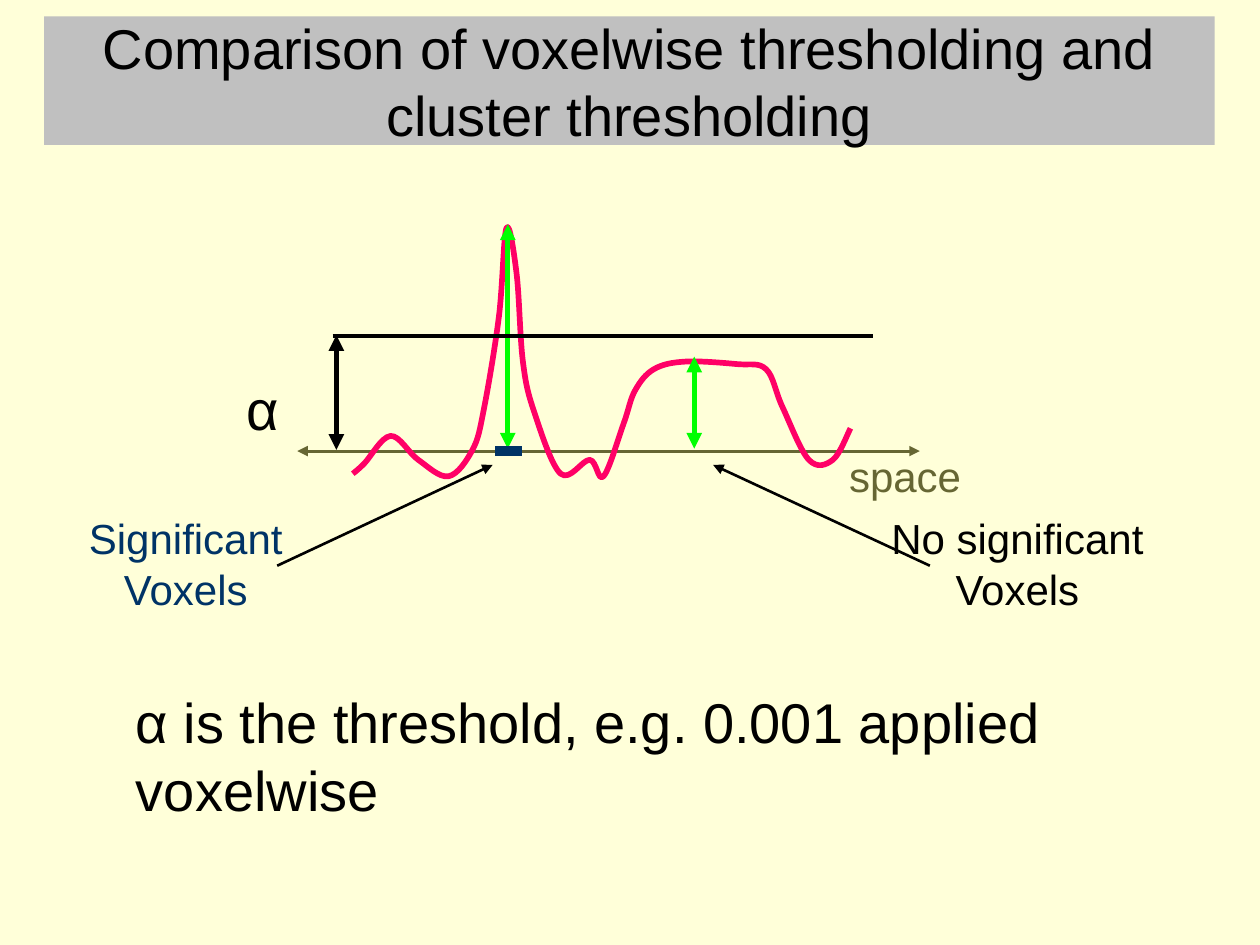
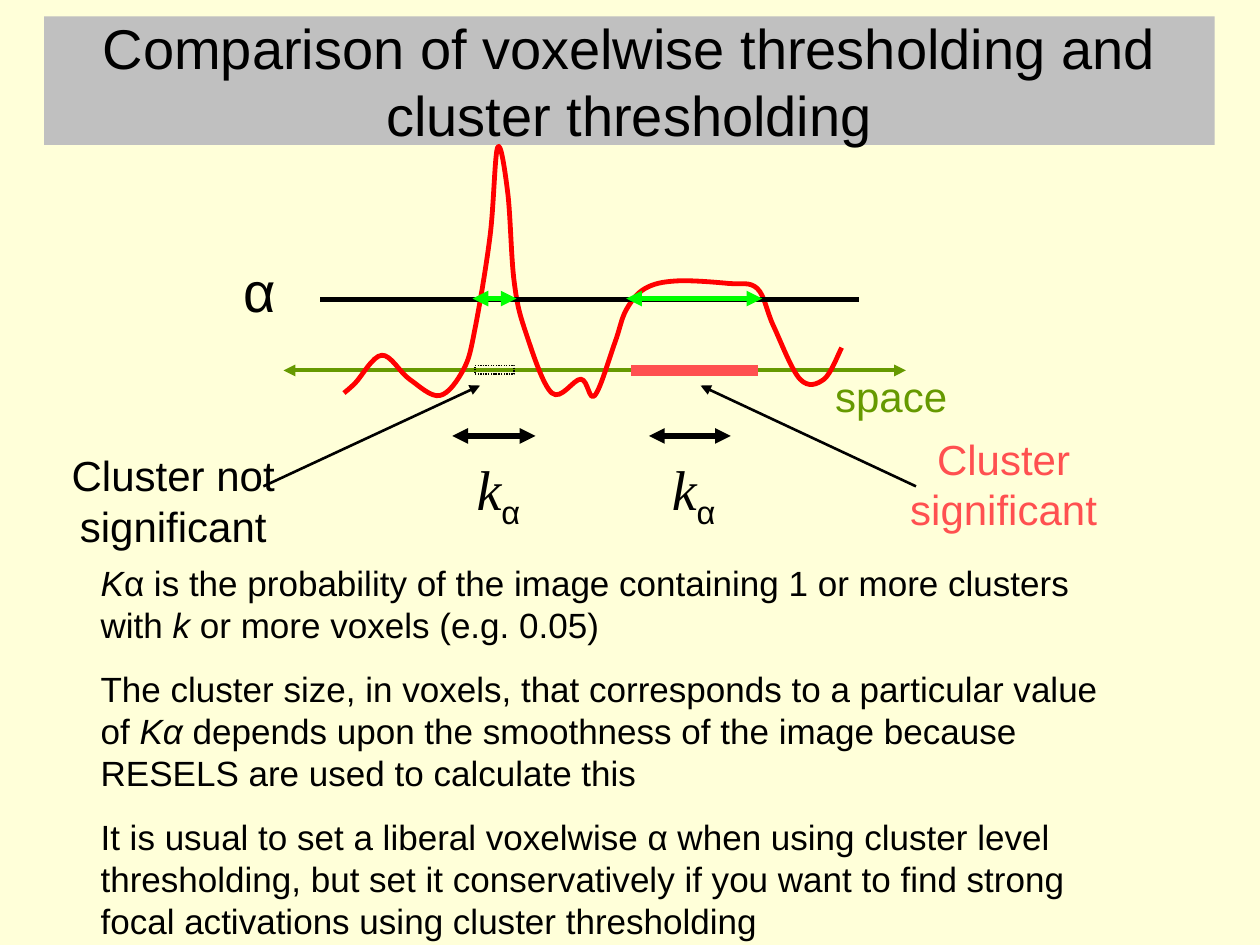
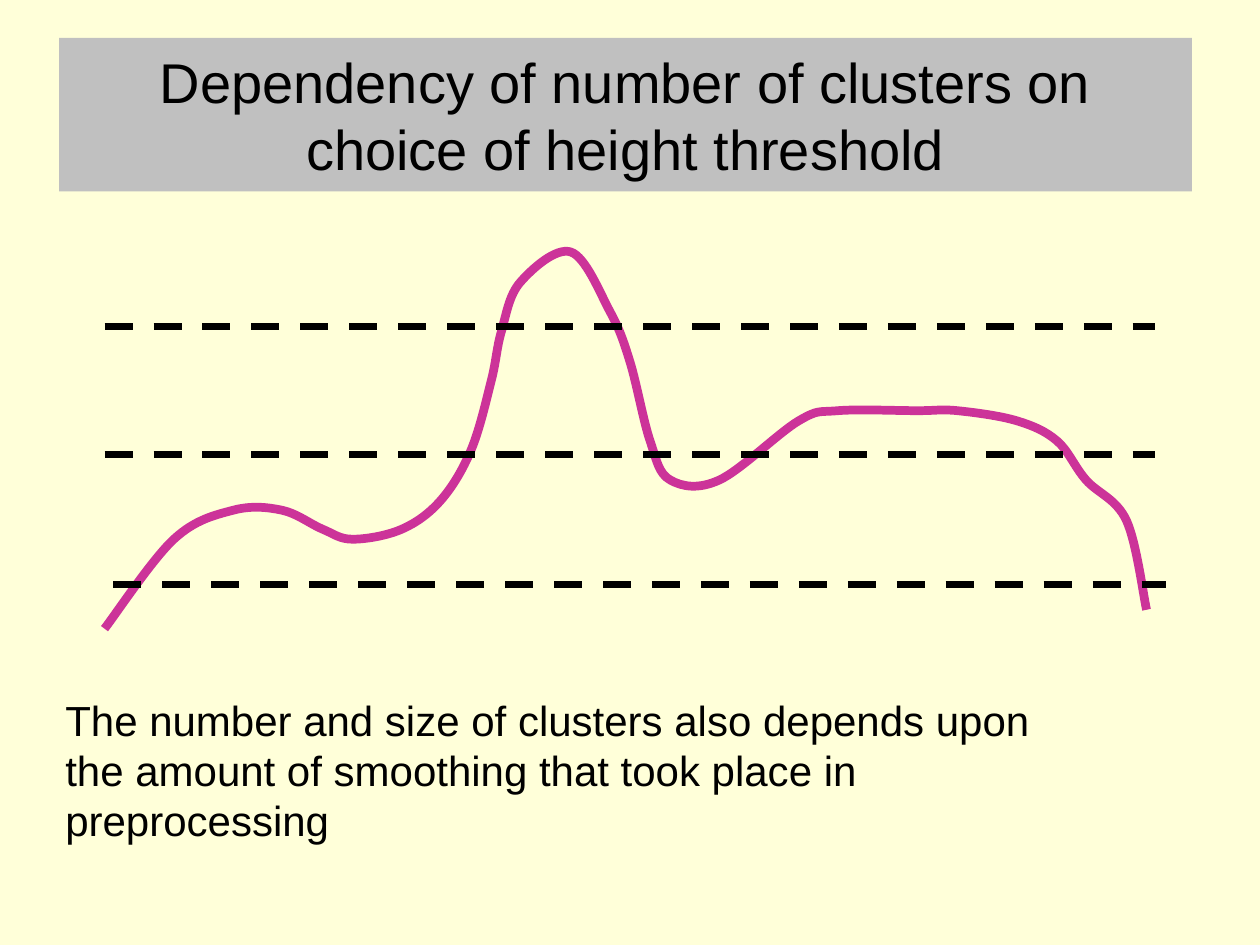
from pptx import Presentation
from pptx.dml.color import RGBColor
from pptx.enum.dml import MSO_LINE
from pptx.enum.shapes import MSO_CONNECTOR, MSO_SHAPE
from pptx.enum.text import MSO_ANCHOR, PP_ALIGN
from pptx.oxml.ns import qn
from pptx.util import Inches, Pt
from lxml.etree import SubElement

CREAM = RGBColor(0xFF, 0xFF, 0xD9)
SILVER = RGBColor(0xC0, 0xC0, 0xC0)
BLACK = RGBColor(0x00, 0x00, 0x00)
NAVY = RGBColor(0x00, 0x33, 0x66)
OLIVE = RGBColor(0x66, 0x66, 0x33)
GRASS = RGBColor(0x66, 0x99, 0x00)
LIME = RGBColor(0x00, 0xFF, 0x00)
PINK = RGBColor(0xFF, 0x00, 0x66)
RED = RGBColor(0xFF, 0x00, 0x00)
CORAL = RGBColor(0xFF, 0x50, 0x50)
PURPLE = RGBColor(0xCC, 0x33, 0x99)
FONT = "Arial"
LEFT, CENTER = PP_ALIGN.LEFT, PP_ALIGN.CENTER


def add_line(slide, start, end, colour, width, arrows=(), dash=None):
    """Draw a straight line; arrows names its ends: headEnd, tailEnd."""
    connector = slide.shapes.add_connector(
        MSO_CONNECTOR.STRAIGHT, *[Inches(value) for value in (*start, *end)])
    connector.line.color.rgb = colour
    connector.line.width = Pt(width)
    if dash:
        connector.line.dash_style = dash
    properties = connector.element.spPr
    for arrow in arrows:
        SubElement(properties.find(qn("a:ln")), qn(f"a:{arrow}"), type="triangle")
    SubElement(properties, qn("a:effectLst"))


def add_curve(slide, knots, colour, width):
    """Draw a smooth Catmull-Rom curve through the knots."""
    padded = [knots[0], *knots, knots[-1]]
    points = []
    for before, start, end, after in zip(padded, padded[1:], padded[2:], padded[3:]):
        points.append([s + (e - b) / 6 for b, s, e in zip(before, start, end)])
        points.append([e - (a - s) / 6 for s, e, a in zip(start, end, after)])
        points.append(end)
    builder = slide.shapes.build_freeform(Inches(knots[0][0]), Inches(knots[0][1]))
    builder.add_line_segments([(Inches(x), Inches(y)) for x, y in points], close=False)
    curve = builder.convert_to_shape()
    outline = next(curve.element.iter(qn("a:path")))
    segments = outline.findall(qn("a:lnTo"))
    for index in range(0, len(segments), 3):
        bezier = SubElement(outline, qn("a:cubicBezTo"))
        for segment in segments[index:index + 3]:
            bezier.append(segment[0])
            outline.remove(segment)
    curve.fill.background()
    curve.line.color.rgb = colour
    curve.line.width = Pt(width)
    curve.shadow.inherit = False


presentation = Presentation()
presentation.slide_width = Inches(10)
presentation.slide_height = Inches(7.5)
background = presentation.slide_master.background.fill
background.solid()
background.fore_color.rgb = CREAM

# Slides with their title bands
COMPARISON = "Comparison of voxelwise thresholding and cluster thresholding"
DEPENDENCY = "Dependency of number of clusters on choice of height threshold"
COMPARISON_BAND = (0.35, 0.13, 9.29, 1.02)
slides = []
for title, band_box in [(COMPARISON, COMPARISON_BAND), (COMPARISON, COMPARISON_BAND),
                        (DEPENDENCY, (0.47, 0.3, 8.99, 1.22))]:
    slide = presentation.slides.add_slide(presentation.slide_layouts[6])
    band = slide.shapes.add_textbox(*[Inches(value) for value in band_box])
    band.fill.solid()
    band.fill.fore_color.rgb = SILVER
    band.text_frame.word_wrap = True
    band.text_frame.vertical_anchor = MSO_ANCHOR.MIDDLE
    paragraph = band.text_frame.paragraphs[0]
    paragraph.text = title
    paragraph.alignment = CENTER
    paragraph.font.name = FONT
    paragraph.font.size = Pt(32)
    paragraph.font.color.rgb = BLACK
    slides.append(slide)
voxel_slide, cluster_slide, height_slide = slides

# Signal curves: the first two slides share one signal, moved up and left
signal = [
    (2.8, 3.76), (2.89, 3.68), (3.1, 3.46), (3.32, 3.65), (3.56, 3.78), (3.75, 3.57),
    (3.84, 3.25), (3.96, 2.51), (4.02, 1.81), (4.1, 2.17), (4.15, 2.87), (4.24, 3.27),
    (4.45, 3.76), (4.68, 3.65), (4.79, 3.78), (4.95, 3.36), (5.04, 3.1), (5.19, 2.93),
    (5.44, 2.87), (5.85, 2.89), (6.08, 2.93), (6.21, 3.23), (6.42, 3.65), (6.61, 3.65),
    (6.75, 3.4)]
broad_signal = [
    (0.83, 4.99), (1.38, 4.28), (1.85, 4.05), (2.24, 4.05), (2.56, 4.2), (2.8, 4.28),
    (3.19, 4.2), (3.5, 3.97), (3.74, 3.57), (3.9, 3.02), (3.98, 2.63), (4.13, 2.24),
    (4.53, 2), (4.84, 2.47), (5, 2.87), (5.16, 3.5), (5.32, 3.81), (5.71, 3.81),
    (6.34, 3.34), (6.65, 3.26), (7.28, 3.26), (7.6, 3.26), (8.07, 3.34), (8.39, 3.5),
    (8.62, 3.81), (8.94, 4.13), (9.1, 4.84)]
BOTH = ("headEnd", "tailEnd")
TIP = ("tailEnd",)
add_line(voxel_slide, (2.36, 3.58), (7.3, 3.58), OLIVE, 1.75, BOTH)
add_line(cluster_slide, (2.25, 2.94), (7.19, 2.94), GRASS, 2.25, BOTH)
add_curve(voxel_slide, signal, PINK, 3.25)
add_curve(cluster_slide, [(x - 0.07, y - 0.64) for x, y in signal], RED, 2.75)
add_curve(height_slide, broad_signal, PURPLE, 5)

# Thresholds, extents, marked voxels and callout arrows
for slide, start, end, colour, width, arrows in [
        (voxel_slide, (4.03, 3.56), (4.03, 1.78), LIME, 3, BOTH),
        (voxel_slide, (5.51, 3.56), (5.51, 2.83), LIME, 3, BOTH),
        (voxel_slide, (2.64, 2.67), (6.93, 2.67), BLACK, 2.25, ()),
        (voxel_slide, (2.67, 3.57), (2.67, 2.66), BLACK, 3, BOTH),
        (voxel_slide, (3.93, 3.58), (4.14, 3.58), NAVY, 6, ()),
        (voxel_slide, (2.2, 4.49), (3.91, 3.69), BLACK, 1.5, TIP),
        (voxel_slide, (7.38, 4.49), (5.66, 3.69), BLACK, 1.5, TIP),
        (cluster_slide, (2.54, 2.38), (6.82, 2.38), BLACK, 2.75, ()),
        (cluster_slide, (4.1, 2.37), (3.75, 2.37), LIME, 3, BOTH),
        (cluster_slide, (6.05, 2.37), (4.97, 2.37), LIME, 3, BOTH),
        (cluster_slide, (5.01, 2.94), (6.02, 2.94), CORAL, 6, ()),
        (cluster_slide, (3.59, 3.46), (4.25, 3.46), BLACK, 3, BOTH),
        (cluster_slide, (5.15, 3.46), (5.8, 3.46), BLACK, 3, BOTH),
        (cluster_slide, (2.09, 3.86), (3.81, 3.06), BLACK, 1.5, TIP),
        (cluster_slide, (7.27, 3.86), (5.56, 3.06), BLACK, 1.5, TIP)]:
    add_line(slide, start, end, colour, width, arrows)

for left, right, y in [(0.83, 9.17, 2.59), (0.83, 9.17, 3.61), (0.9, 9.25, 4.64)]:
    add_line(height_slide, (left, y), (right, y), BLACK, 4, dash=MSO_LINE.DASH)

small_cluster = cluster_slide.shapes.add_shape(
    MSO_SHAPE.RECTANGLE, Inches(3.77), Inches(2.9), Inches(0.31), Inches(0.07))
small_cluster.fill.background()
small_cluster.line.color.rgb = BLACK
small_cluster.line.width = Pt(0.75)
small_cluster.line.dash_style = MSO_LINE.ROUND_DOT
small_cluster.shadow.inherit = False

# Texts: each paragraph is a list of (text, style) runs
k_alpha = [[("k", "symbol"), ("α", "subscript")]]
explanation = [
    [("K", "italic"),
     ("α is the probability of the image containing 1 or more clusters with ", ""),
     ("k", "italic"), (" or more voxels (e.g. 0.05)", "")],
    [("The cluster size, in voxels, that corresponds to a particular value of ", ""),
     ("Kα ", "italic"),
     ("depends upon the smoothness of the image because RESELS are used to "
      "calculate this", "")],
    [("It is usual to set a liberal voxelwise α when using cluster level thresholding, "
      "but set it conservatively if you want to find strong focal activations using "
      "cluster thresholding", "")]]
for slide, box, size, alignment, colour, paragraphs in [
        (voxel_slide, (0.36, 4.02, 2.23, 0.9), 24, CENTER, NAVY,
         [[("Significant Voxels", "")]]),
        (voxel_slide, (6.64, 3.53, 1.36, 0.5), 24, LEFT, OLIVE, [[("space", "")]]),
        (voxel_slide, (1.67, 2.92, 0.83, 0.64), 32, CENTER, BLACK, [[("α", "")]]),
        (voxel_slide, (6.96, 4.02, 2.23, 0.9), 24, CENTER, BLACK,
         [[("No significant Voxels", "")]]),
        (voxel_slide, (0.98, 5.41, 8.39, 1.17), 32, LEFT, BLACK,
         [[("α is the threshold, e.g. 0.001 applied voxelwise", "")]]),
        (cluster_slide, (0.26, 3.52, 2.23, 0.9), 24, CENTER, BLACK,
         [[("Cluster not significant", "")]]),
        (cluster_slide, (6.53, 2.89, 1.36, 0.5), 24, LEFT, GRASS, [[("space", "")]]),
        (cluster_slide, (6.85, 3.39, 2.23, 0.9), 24, CENTER, CORAL,
         [[("Cluster significant", "")]]),
        (cluster_slide, (3.54, 3.56, 0.83, 0.71), 32, CENTER, BLACK, k_alpha),
        (cluster_slide, (5.09, 3.56, 0.83, 0.71), 32, CENTER, BLACK, k_alpha),
        (cluster_slide, (1.65, 1.99, 0.83, 0.64), 32, CENTER, BLACK, [[("α", "")]]),
        (cluster_slide, (0.7, 4.41, 8.39, 3.62), 20, LEFT, BLACK, explanation),
        (height_slide, (0.42, 5.46, 8.16, 1.3), 24, LEFT, BLACK,
         [[("The number and size of clusters also depends upon the amount of "
            "smoothing that took place in preprocessing", "")]])]:
    frame = slide.shapes.add_textbox(*[Inches(value) for value in box]).text_frame
    frame.word_wrap = True
    for index, runs in enumerate(paragraphs):
        paragraph = frame.add_paragraph() if index else frame.paragraphs[0]
        paragraph.alignment = alignment
        if index:
            paragraph.space_before = Pt(12.5)
        paragraph.font.name = FONT
        paragraph.font.size = Pt(size)
        paragraph.font.color.rgb = colour
        for text, style in runs:
            run = paragraph.add_run()
            run.text = text
            if style in ("italic", "symbol"):
                run.font.italic = True
            if style == "symbol":
                run.font.name = "Times New Roman"
            if style == "subscript":
                run._r.get_or_add_rPr().set("baseline", "-25000")

presentation.save("out.pptx")
